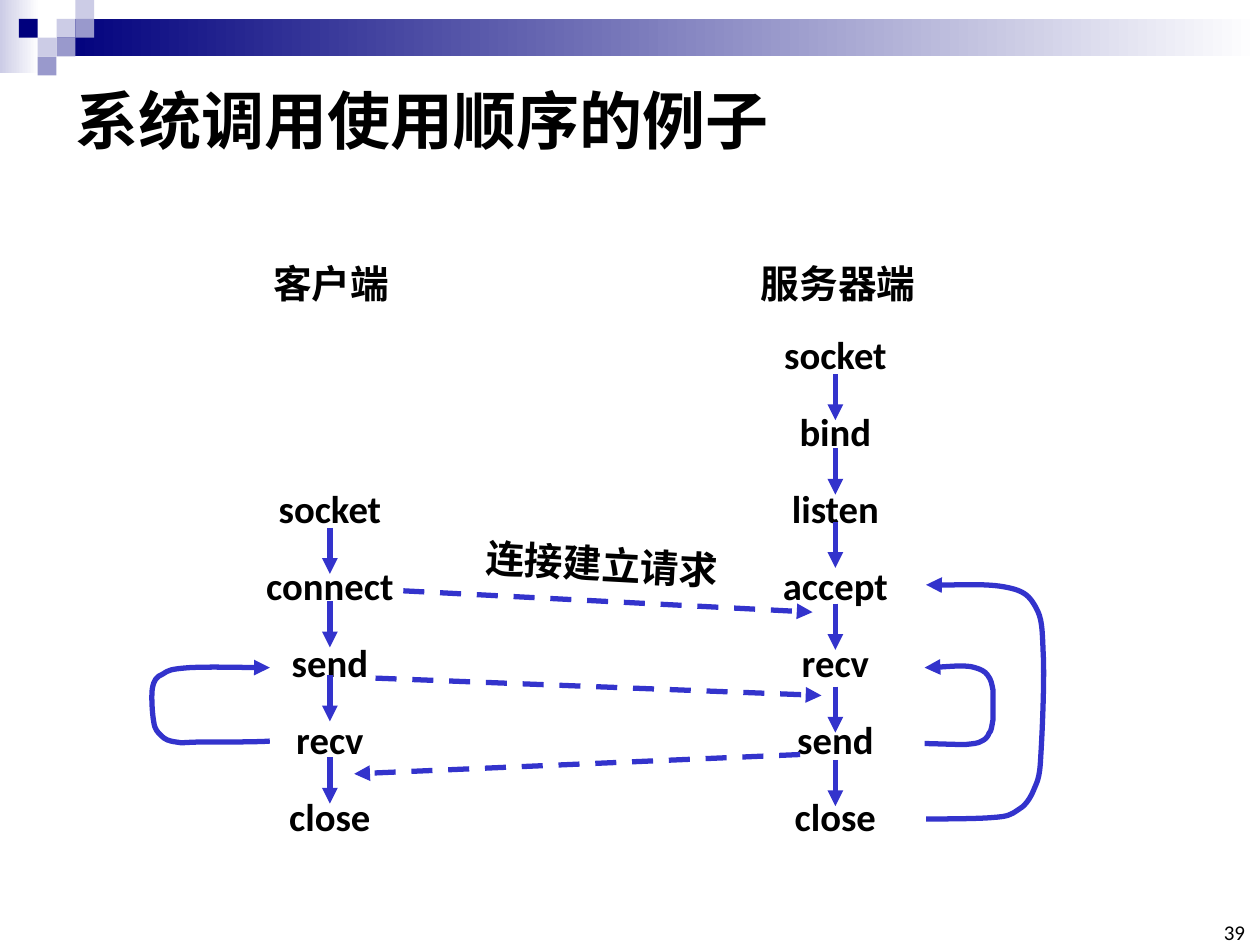
from lxml.etree import SubElement
from pptx import Presentation
from pptx.dml.color import RGBColor
from pptx.enum.dml import MSO_LINE
from pptx.enum.shapes import MSO_CONNECTOR, MSO_SHAPE
from pptx.enum.text import MSO_ANCHOR, PP_ALIGN
from pptx.oxml.ns import qn
from pptx.util import Cm, Pt

rgb = RGBColor.from_string
NAVY, LILAC, PALE, WHITE = "00007D", "9999CC", "CCCCE6", "FFFFFF"


def add_text(text, left, top, width, height, size=22.1, bold=True,
             align=PP_ALIGN.LEFT, anchor=MSO_ANCHOR.TOP, wrap=False):
    sp = s.shapes.add_textbox(Cm(left), Cm(top), Cm(width), Cm(height))
    tf = sp.text_frame
    tf.word_wrap = wrap
    tf.vertical_anchor = anchor
    tf.text = text
    p = tf.paragraphs[0]
    p.alignment = align
    r = p.runs[0]
    r.font.name = "Calibri"
    r.font.size = Pt(size)
    r.font.bold = bold
    r.font.color.rgb = rgb("000000")
    return sp


def style_arrow(sp, dashed=False):
    """Blue 3 pt line with a triangle at its end and no shadow."""
    sp.line.color.rgb = rgb("3333CC")
    sp.line.width = Pt(3)
    if dashed:
        sp.line.dash_style = MSO_LINE.DASH
    SubElement(sp.line._get_or_add_ln(), qn("a:tailEnd"), type="triangle")
    SubElement(sp._element.spPr, qn("a:effectLst"))


prs = Presentation()
prs.slide_width, prs.slide_height = Cm(25.4), Cm(19.05)
s = prs.slides.add_slide(prs.slide_layouts[6])

# Header band and its small squares
Q = 0.38
decor = [
    (0, 0, 0.79, 1.47, (PALE, WHITE)),
    (1.14, Q, 24.26, 0.76, (NAVY, WHITE)),
    (3 * Q, Q, Q, Q, (PALE,)),
    (4 * Q, 0, Q, Q, (PALE,)),
    (4 * Q, Q, Q, Q, (LILAC,)),
    (2 * Q, 2 * Q, Q, Q, (PALE,)),
    (Q, Q, Q, Q, (NAVY,)),
    (3 * Q, 2 * Q, Q, Q, (LILAC,)),
    (2 * Q, 3 * Q, Q, Q, (LILAC,)),
]
for left, top, width, height, colors in decor:
    sp = s.shapes.add_shape(MSO_SHAPE.RECTANGLE, Cm(left), Cm(top), Cm(width), Cm(height))
    sp.shadow.inherit = False
    sp.line.fill.background()
    if len(colors) == 1:
        sp.fill.solid()
        sp.fill.fore_color.rgb = rgb(colors[0])
    else:
        sp.fill.gradient()
        sp.fill.gradient_angle = 0
        for stop, color in zip(sp.fill.gradient_stops, colors):
            stop.color.rgb = rgb(color)

add_text("系统调用使用顺序的例子", 1.27, 1.27, 22.86, 2.26, size=36,
         anchor=MSO_ANCHOR.MIDDLE, wrap=True)
sp = add_text("39", 24.13, 18.62, 0.97, 0.43, size=12, bold=False,
              align=PP_ALIGN.RIGHT, anchor=MSO_ANCHOR.BOTTOM, wrap=True)
tf = sp.text_frame
tf.margin_left = tf.margin_right = tf.margin_top = tf.margin_bottom = 0

# Call sequences: rows share one pitch, the client starts two rows lower
LABEL_H, FIRST_ROW, PITCH, ARROW_LEN = 1.19, 6.55, 1.55, 0.93
word_widths = {"socket": 2.6, "bind": 1.98, "listen": 2.28, "accept": 2.64,
               "connect": 3.1, "send": 2.08, "recv": 1.88, "close": 2.18}
columns = [
    ("服务器端", 15.09, 3.68, 16.84, 0,
     ["socket", "bind", "listen", "accept", "recv", "send", "close"],
     [7.54, 9.04, 10.52, 12.17, 13.84, 15.32]),
    ("客户端", 5.26, 2.9, 6.65, 2,
     ["socket", "connect", "send", "recv", "close"],
     [10.64, 12.12, 13.61, 15.27]),
]
arrows = []
for heading, left, width, center, start_row, calls, arrow_tops in columns:
    add_text(heading, left, 5.11, width, LABEL_H)
    for row, call in enumerate(calls, start_row):
        width = word_widths[call]
        add_text(call, center - width / 2, FIRST_ROW + row * PITCH, width, LABEL_H,
                 align=PP_ALIGN.CENTER)
    arrows += [(center, top, center, top + ARROW_LEN, False) for top in arrow_tops]

# Messages between the two sides
arrows += [
    (7.57, 13.67, 16.56, 14.02, True),
    (16.13, 15.21, 7.14, 15.6, True),
    (8.13, 11.91, 16.38, 12.34, True),
]
for x1, y1, x2, y2, dashed in arrows:
    line = s.shapes.add_connector(MSO_CONNECTOR.STRAIGHT, Cm(x1), Cm(y1), Cm(x2), Cm(y2))
    style_arrow(line, dashed)

# Loops back to earlier calls: a start point, then three points per Bezier curve
loops = [
    [(5.44, 14.94),
     (5.21, 14.96), (4.37, 14.96), (4.06, 14.96),
     (3.73, 14.96), (3.68, 14.99), (3.56, 14.96),
     (3.4, 14.94), (3.33, 14.91), (3.25, 14.83),
     (3.18, 14.76), (3.12, 14.71), (3.1, 14.55),
     (3.07, 14.4), (3.05, 14.05), (3.07, 13.89),
     (3.1, 13.72), (3.15, 13.64), (3.28, 13.59),
     (3.4, 13.51), (3.43, 13.49), (3.81, 13.46),
     (4.17, 13.44), (5.08, 13.46), (5.44, 13.46)],
    [(18.64, 14.99),
     (18.77, 14.99), (19.25, 15.01), (19.46, 15.01),
     (19.63, 14.99), (19.71, 14.99), (19.79, 14.94),
     (19.86, 14.91), (19.91, 14.86), (19.94, 14.78),
     (19.99, 14.73), (19.99, 14.66), (20.02, 14.5),
     (20.02, 14.38), (20.02, 14.07), (20.02, 13.92),
     (19.99, 13.77), (19.99, 13.72), (19.91, 13.61),
     (19.86, 13.54), (19.79, 13.49), (19.58, 13.44),
     (19.38, 13.41), (18.85, 13.46), (18.64, 13.46)],
    [(18.67, 16.51),
     (18.9, 16.51), (19.71, 16.51), (20.02, 16.48),
     (20.32, 16.46), (20.37, 16.43), (20.52, 16.33),
     (20.65, 16.26), (20.75, 16.13), (20.83, 15.95),
     (20.9, 15.77), (20.96, 15.72), (20.98, 15.27),
     (21.01, 14.81), (21.06, 13.67), (21.03, 13.16),
     (21.01, 12.67), (21.01, 12.47), (20.88, 12.24),
     (20.75, 12.01), (20.65, 11.91), (20.29, 11.84),
     (19.91, 11.76), (19, 11.81), (18.67, 11.79)],
]
for loop in loops:
    points = [(Cm(x), Cm(y)) for x, y in loop]
    builder = s.shapes.build_freeform(*points[0])
    builder.add_line_segments(points[1:], close=False)
    sp = builder.convert_to_shape()
    sp.fill.background()
    style_arrow(sp)
    outline = sp._element.find(".//" + qn("a:path"))
    segments = outline.findall(qn("a:lnTo"))
    for i in range(0, len(segments), 3):
        curve = SubElement(outline, qn("a:cubicBezTo"))
        for segment in segments[i:i + 3]:
            curve.append(segment[0])
            outline.remove(segment)

sp = add_text("连接建立请求", 9.55, 10.77, 5.26, LABEL_H)
sp.rotation = 3.1

prs.save("out.pptx")
